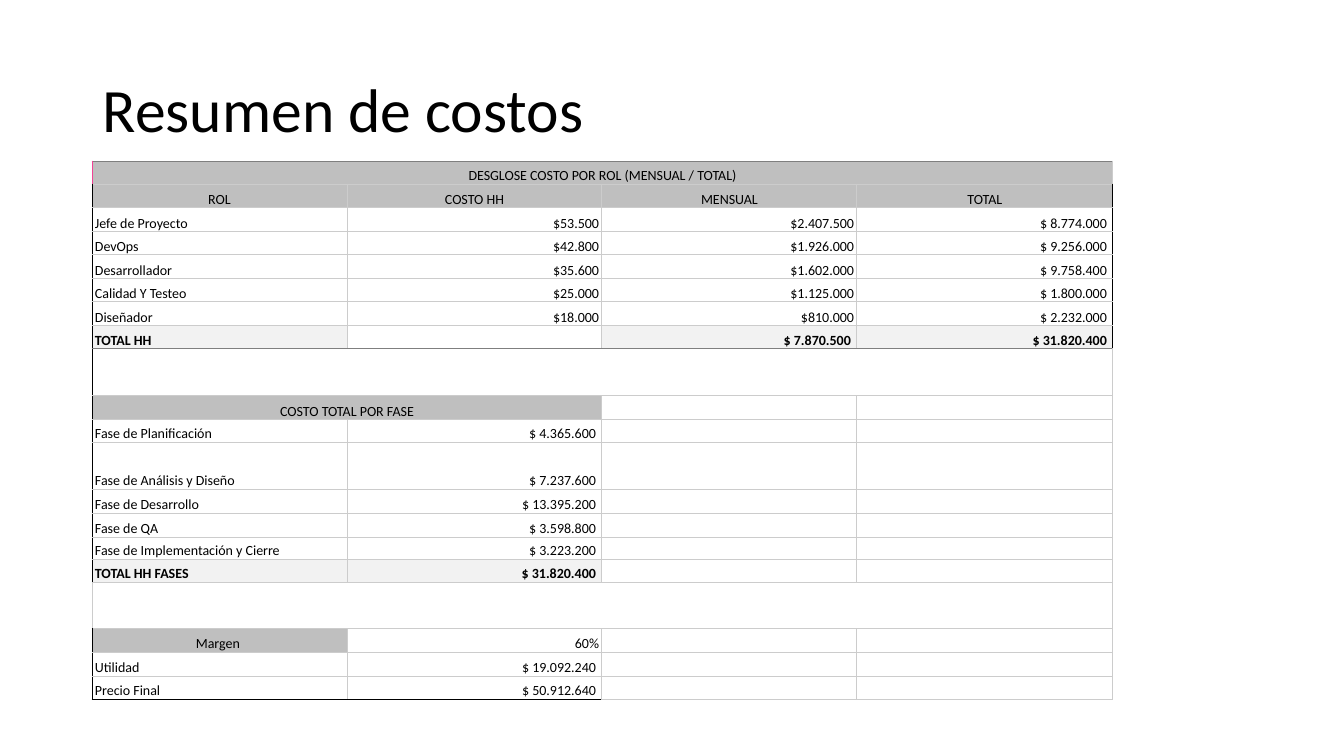
"""Builds the cost summary slide: a title and one table with costs by role, by phase and the margin."""
import itertools

import lxml.etree
import pptx
import pptx.dml.color
import pptx.enum.text
import pptx.oxml.ns
import pptx.util

PX = 914400 / 100.8
COLORS = {"text": "000000", "head": "BFBFBF", "total": "F2F2F2", "blank": "FFFFFF",
          "grid": "CCCCCC", "frame": "000000", "rule": "7F7F7F", "accent": "F04495"}
ALIGN = pptx.enum.text.PP_ALIGN
ANCHOR = pptx.enum.text.MSO_ANCHOR


def px(length):
    return pptx.util.Emu(round(length * PX))


def write(frame, text, size=10, bold=False, align=ALIGN.LEFT, spacing=1.0):
    para = frame.paragraphs[0]
    para.alignment = align
    para.line_spacing = spacing
    if not text:
        para._p.get_or_add_endParaRPr().set("sz", str(size * 100))
        return
    span = para.add_run()
    span.text = text
    span.font.name = "Calibri"
    span.font.size = pptx.util.Pt(size)
    span.font.bold = bold
    span.font.color.rgb = pptx.dml.color.RGBColor.from_string(COLORS["text"])


deck = pptx.Presentation()
deck.slide_width, deck.slide_height = px(1344), px(756)
slide = deck.slides.add_slide(deck.slide_layouts[6])

title = slide.shapes.add_textbox(px(93), px(40), px(1159), px(146)).text_frame
title.word_wrap = True
title.vertical_anchor = ANCHOR.MIDDLE
write(title, "Resumen de costos", size=44, spacing=0.9)

# fill, filled columns, merged columns, texts
ROWS = [
    ("head", (0, 1, 2, 3), 4, ["DESGLOSE COSTO POR ROL (MENSUAL / TOTAL)"]),
    ("head", (0, 1, 2, 3), 1, ["ROL", "COSTO HH", "MENSUAL", "TOTAL"]),
    (None, (), 1, ["Jefe de Proyecto", "$53.500", "$2.407.500", "$ 8.774.000 "]),
    (None, (), 1, ["DevOps", "$42.800", "$1.926.000", "$ 9.256.000 "]),
    (None, (), 1, ["Desarrollador", "$35.600", "$1.602.000", "$ 9.758.400 "]),
    (None, (), 1, ["Calidad Y Testeo", "$25.000", "$1.125.000", "$ 1.800.000 "]),
    (None, (), 1, ["Diseñador", "$18.000", "$810.000", "$ 2.232.000 "]),
    ("total", (0, 2, 3), 1, ["TOTAL HH", "", "$ 7.870.500 ", "$ 31.820.400 "]),
    ("blank", (0, 1, 2, 3), 4, []),
    ("head", (0, 1), 2, ["COSTO TOTAL POR FASE"]),
    (None, (), 1, ["Fase de Planificación", "$ 4.365.600 "]),
    (None, (), 1, ["Fase de Análisis y Diseño", "$ 7.237.600 "]),
    (None, (), 1, ["Fase de Desarrollo", "$ 13.395.200 "]),
    (None, (), 1, ["Fase de QA", "$ 3.598.800 "]),
    (None, (), 1, ["Fase de Implementación y Cierre", "$ 3.223.200 "]),
    ("total", (0, 1), 1, ["TOTAL HH FASES", "$ 31.820.400 "]),
    (None, (), 4, []),
    ("head", (0,), 1, ["Margen ", "60%"]),
    (None, (), 1, ["Utilidad", "$ 19.092.240 "]),
    (None, (), 1, ["Precio Final", "$ 50.912.640 "]),
]
ROW_EDGES = [161, 184, 208, 232, 255, 279, 302, 326, 349, 396, 420,
             443, 490, 514, 538, 560, 583, 629, 653, 677, 700]
COLUMN_EDGES = [92, 347, 602, 857, 1113]
ROLE_END, GAP_ROW, LAST_ROW = 7, 16, 19

table = slide.shapes.add_table(len(ROWS), 4, px(92), px(161), px(1021), px(539)).table
table.first_row = table.horz_banding = False
table._tbl.tblPr.find(pptx.oxml.ns.qn("a:tableStyleId")).text = "{2D5ABB26-0587-4C30-8999-92F81FD0307C}"
for column, (left, right) in zip(table.columns, itertools.pairwise(COLUMN_EDGES)):
    column.width = px(right - left)
for row, (top, bottom) in zip(table.rows, itertools.pairwise(ROW_EDGES)):
    row.height = px(bottom - top)

for r, (fill, filled, merged, texts) in enumerate(ROWS):
    for c in range(4):
        cell = table.cell(r, c)
        cell.margin_left = cell.margin_right = px(3)
        cell.margin_top = cell.margin_bottom = 0
        cell.vertical_anchor = ANCHOR.BOTTOM
        if fill == "head" and c in filled:
            align = ALIGN.CENTER
        else:
            align = ALIGN.RIGHT if c else ALIGN.LEFT
        write(cell.text_frame, texts[c] if c < len(texts) else "", bold=fill == "total", align=align)

        borders = dict.fromkeys(("lnL", "lnR", "lnT", "lnB"), "grid")
        if c == 0 and r != GAP_ROW:
            borders["lnL"] = "frame" if r else "accent"
        if c == 3 and r <= ROLE_END + 1:
            borders["lnR"] = "frame" if r else "rule"
        if r in (0, ROLE_END + 1):
            borders["lnT"] = "rule"
        if r == ROLE_END:
            borders["lnB"] = "rule"
        if r == LAST_ROW and c < 2:
            borders["lnB"] = "frame"
        for side, color in borders.items():
            line = lxml.etree.SubElement(cell._tc.get_or_add_tcPr(), pptx.oxml.ns.qn(f"a:{side}"), w="9525")
            solid = lxml.etree.SubElement(line, pptx.oxml.ns.qn("a:solidFill"))
            lxml.etree.SubElement(solid, pptx.oxml.ns.qn("a:srgbClr"), val=COLORS[color])

        if c in filled:
            cell.fill.solid()
            cell.fill.fore_color.rgb = pptx.dml.color.RGBColor.from_string(COLORS[fill])
        else:
            cell.fill.background()
    if merged > 1:
        table.cell(r, 0).merge(table.cell(r, merged - 1))

deck.save("out.pptx")
